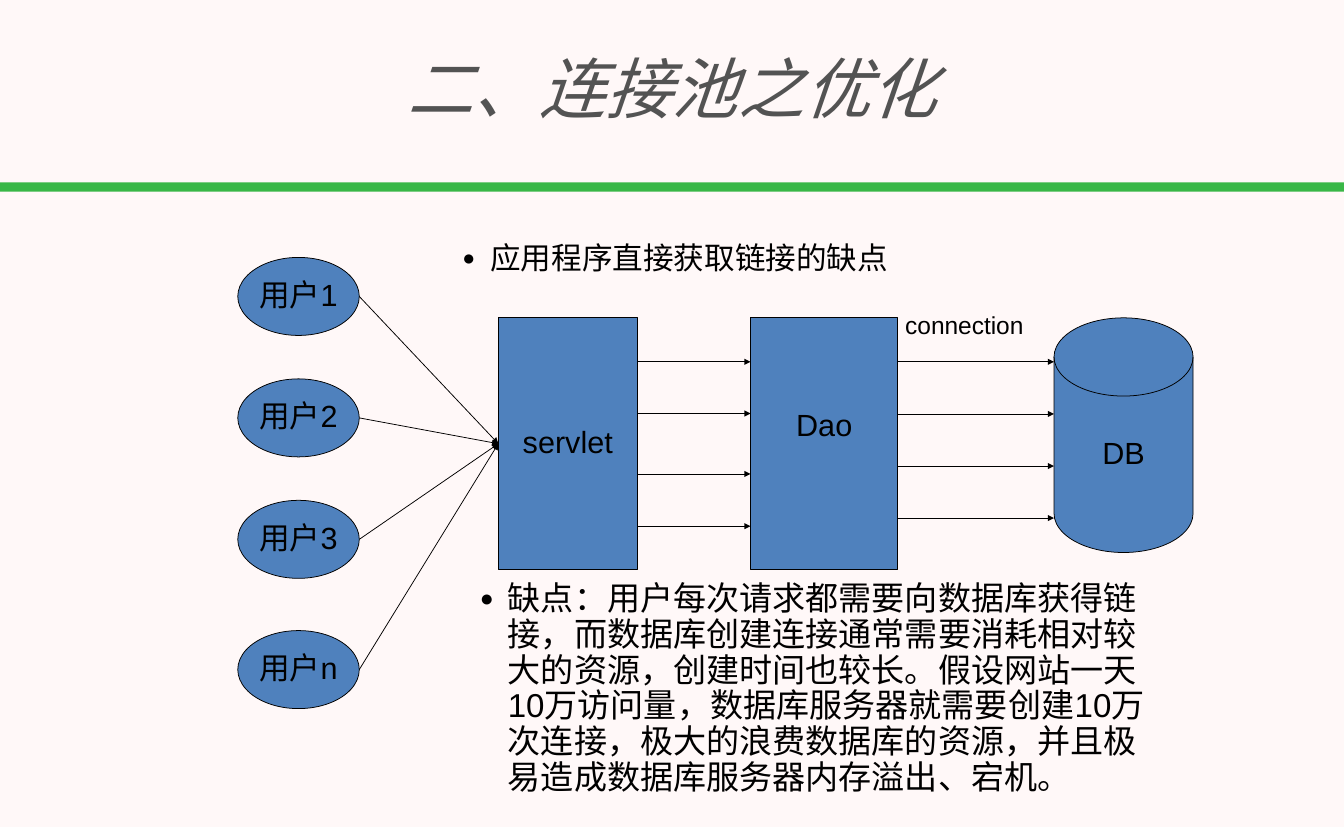
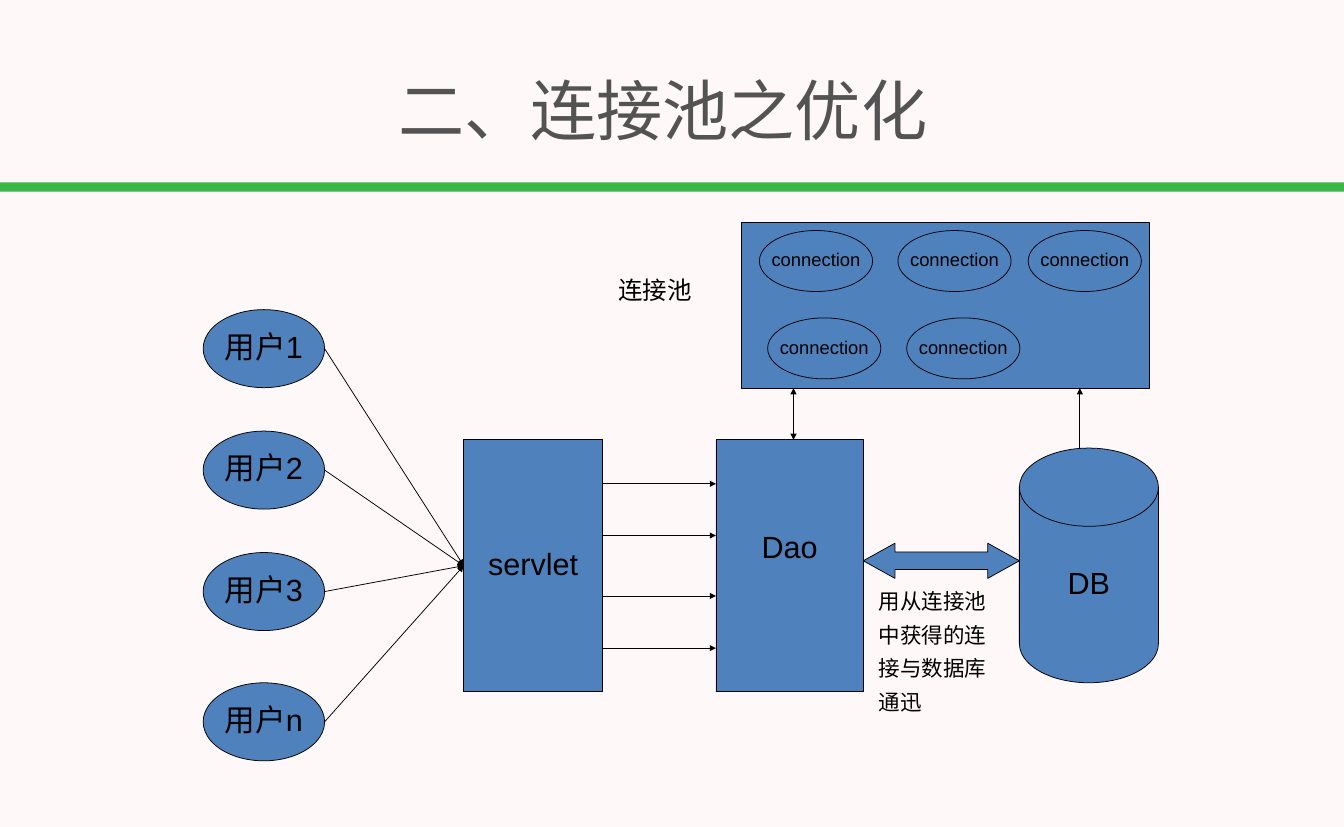
from pptx import Presentation as Deck
from pptx.dml.color import RGBColor as Rgb
from pptx.enum.shapes import MSO_CONNECTOR as Link, MSO_SHAPE as Form
from pptx.enum.text import MSO_ANCHOR as Anchor, MSO_AUTO_SIZE as Fit, PP_ALIGN as Align
from pptx.oxml.ns import qn
from pptx.util import Pt
from lxml.etree import SubElement as Sub

HUES = {"page": "FFF8F8", "band": "39B747", "title": "535353", "box": "4F81BD", "ink": "000000"}
HEAD = "二、连接池之优化"
USERS = ["用户1", "用户2", "用户3", "用户n"]
FLAW = "应用程序直接获取链接的缺点"
COST = (
    "缺点：用户每次请求都需要向数据库获得链接，而数据库创建连接通常需要消耗相对较大的资源，"
    "创建时间也较长。假设网站一天10万访问量，数据库服务器就需要创建10万次连接，"
    "极大的浪费数据库的资源，并且极易造成数据库服务器内存溢出、宕机。"
)
TALK = ["用从连接池", "中获得的连", "接与数据库", "通迅"]
LABEL = {"vertical_anchor": Anchor.MIDDLE, "word_wrap": False}
PLAIN = {"vertical_anchor": Anchor.TOP, "word_wrap": True, "auto_size": Fit.NONE}
TITLE = {"vertical_anchor": Anchor.BOTTOM, "word_wrap": True, "auto_size": Fit.NONE,
         "margin_left": Pt(3.6), "margin_right": Pt(3.6),
         "margin_top": Pt(3.6), "margin_bottom": Pt(3.6)}


def hue(key):
    return Rgb.from_string(HUES[key])


def apply(item, form):
    for key, value in form.items():
        setattr(item, key, value)


def place(item, *area):
    apply(item, dict(zip(("left", "top", "width", "height"), map(Pt, area))))


def write(frame, lines, size, form, align=Align.LEFT, pitch=0.9, tint="ink", font="Arial", slant=False):
    apply(frame, form)
    for num, line in enumerate(lines):
        para = frame.add_paragraph() if num else frame.paragraphs[0]
        gap = Pt(round(size / 2)) if num else Pt(0)
        apply(para, {"alignment": align, "line_spacing": pitch, "space_before": gap})
        run = para.add_run()
        run.text = line
        apply(run.font, {"size": Pt(size), "name": font, "italic": slant})
        run.font.color.rgb = hue(tint)


def shape(slide, kind, area, text="", size=29.6, tint="box", edge=True):
    item = slide.shapes.add_shape(kind, *map(Pt, area))
    item.shadow.inherit = False
    item.fill.solid()
    item.fill.fore_color.rgb = hue(tint)
    if edge:
        item.line.color.rgb = hue("ink")
        item.line.width = Pt(0.75)
    else:
        item.line.fill.background()
    if text:
        write(item.text_frame, [text], size, LABEL, Align.CENTER)
    return item


def arrow(slide, start, end, ends=("tailEnd",)):
    link = slide.shapes.add_connector(Link.STRAIGHT, *map(Pt, start + end))
    link.line.color.rgb = hue("ink")
    link.line.width = Pt(0.75)
    for tip in ends:
        Sub(link.line._get_or_add_ln(), qn("a:" + tip), type="triangle")
    Sub(link._element.spPr, qn("a:effectLst"))
    return link


def note(slide, area, lines, size):
    write(slide.shapes.add_textbox(*map(Pt, area)).text_frame, lines, size, PLAIN)


def bullet(item, area, text, size):
    place(item, *area)
    write(item.text_frame, [text], size, PLAIN)
    prop = item.text_frame.paragraphs[0]._p.get_or_add_pPr()
    Sub(Sub(prop, qn("a:buClr")), qn("a:srgbClr"), val=HUES["ink"])
    Sub(prop, qn("a:buSzPct"), val="70000")
    Sub(prop, qn("a:buChar"), char="●")


def begin(deck, index, left, top, slant=False):
    slide = deck.slides.add_slide(deck.slide_layouts[index])
    head = slide.shapes.title
    place(head, left, top, 898, 75.5)
    write(head.text_frame, [HEAD], 64, TITLE, Align.CENTER, 1, "title", "Calibri", slant)
    return slide


def brand(deck, slide):
    page = deck.slide_master.background.fill
    page.solid()
    page.fore_color.rgb = hue("page")
    band = shape(slide, Form.RECTANGLE, (0, 176.5, 1300, 9), tint="band", edge=False)
    deck.slide_master.shapes.element.insert(2, band._element)


def flow(slide, left, high, top, base):
    serve, dao = left + 252, left + 496
    shape(slide, Form.FLOWCHART_MAGNETIC_DISK, (left + 789.5, base, 134.5, 227), "DB")
    block = shape(slide, Form.RECTANGLE, (dao, top, 142.5, 243.5), "Dao")
    block.text_frame.margin_bottom = Pt(36)
    server = shape(slide, Form.RECTANGLE, (serve, top, 134.5, 243.5), "servlet")
    for name, step in zip(USERS, (0, 117.5, 235, 361)):
        shape(slide, Form.OVAL, (left, high + step, 117.5, 75.5), name)
        link = arrow(slide, (left + 117.5, high + step + 37.75), (serve, top + 121.75))
        link.end_connect(server, 1)
    for step in (42.5, 92.5, 151, 201.5):
        arrow(slide, (serve + 134.5, top + step), (dao, top + step))


def direct(deck):
    slide = begin(deck, 3, 201, 50.5, True)
    brand(deck, slide)
    flow(slide, 230, 249, 307.5, 307.5)
    for num in range(4):
        row = 350 + 50.4 * num
        arrow(slide, (868.5, row), (1019.5, row))
    note(slide, (868.5, 299.5, 142.5, 34), ["connection"], 23.7)
    bullet(slide.placeholders[1], (440, 232, 638.5, 39.5), FLAW, 29.6)
    bullet(slide.placeholders[2], (457, 559.5, 672, 215.5), COST, 32)


def pooled(deck):
    slide = begin(deck, 5, 192, 72)
    flow(slide, 196.5, 299.5, 425.5, 433.5)
    shape(slide, Form.RECTANGLE, (717, 215.5, 394.5, 160))
    for top, row in ((223, (734.5, 868.5, 994.5)), (307.5, (742.5, 877))):
        for left in row:
            shape(slide, Form.OVAL, (left, top, 109.5, 59), "connection", 17.8)
    arrow(slide, (1044.5, 433.5), (1044.5, 375.5))
    arrow(slide, (767.5, 425.5), (767.5, 375.5), ("headEnd", "tailEnd"))
    both = shape(slide, Form.LEFT_RIGHT_ARROW, (835, 525.5, 151, 34))
    both.adjustments[1] = 0.9
    note(slide, (591, 265.5, 101, 33), ["连接池"], 23.7)
    note(slide, (843, 568, 142.5, 134.5), TALK, 20.8)


def main():
    deck = Deck()
    apply(deck, {"slide_width": Pt(1300), "slide_height": Pt(800)})
    direct(deck)
    pooled(deck)
    deck.save("out.pptx")


if __name__ == "__main__":
    main()
